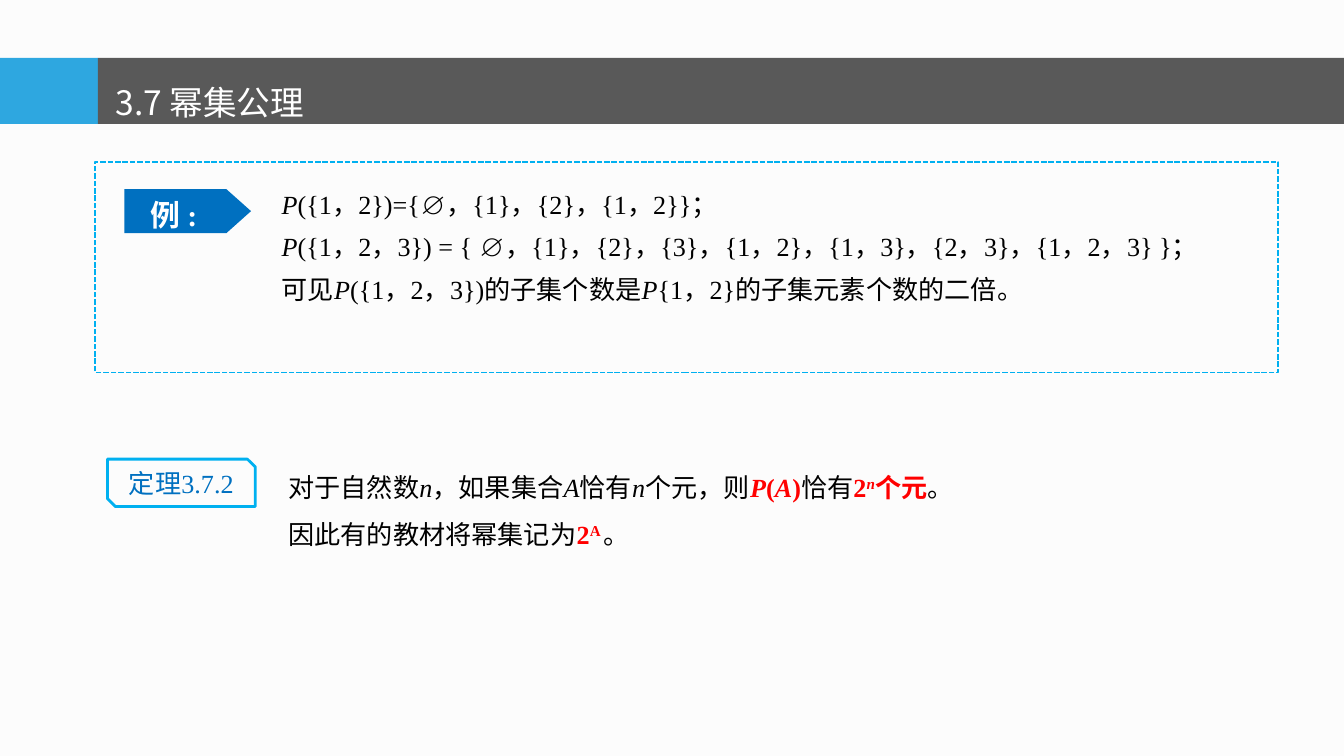
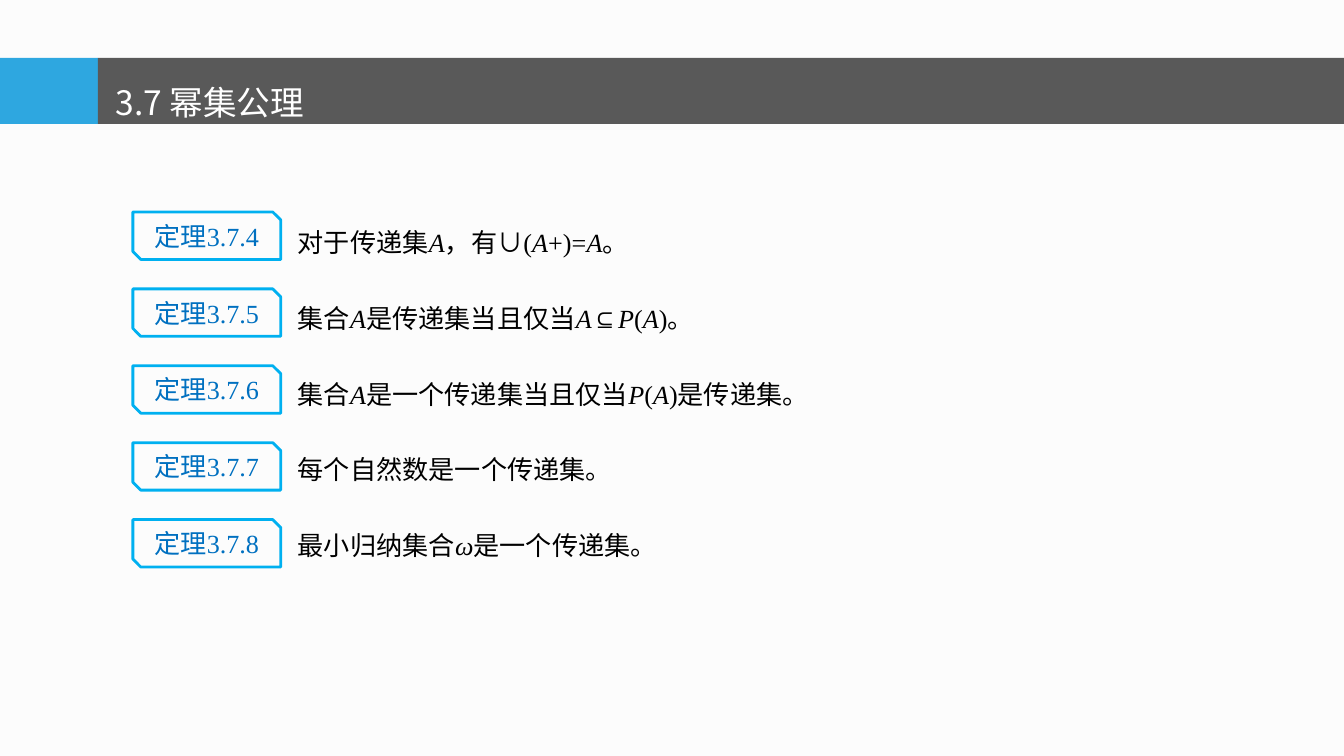
from pptx import Presentation
from pptx.dml.color import RGBColor
from pptx.enum.dml import MSO_LINE
from pptx.enum.lang import MSO_LANGUAGE_ID
from pptx.enum.shapes import MSO_SHAPE
from pptx.enum.text import MSO_ANCHOR, MSO_AUTO_SIZE, PP_ALIGN
from pptx.oxml.ns import qn
from pptx.util import Pt
from lxml import etree

RECT, ARROW, SNIP = MSO_SHAPE.RECTANGLE, MSO_SHAPE.PENTAGON, MSO_SHAPE.SNIP_2_DIAG_RECTANGLE
LEFT, MID, JUST = PP_ALIGN.LEFT, PP_ALIGN.CENTER, PP_ALIGN.JUSTIFY
TOP, CENTER = MSO_ANCHOR.TOP, MSO_ANCHOR.MIDDLE
DASH, NOFIT = MSO_LINE.SQUARE_DOT, MSO_AUTO_SIZE.NONE
CHINESE = MSO_LANGUAGE_ID.SIMPLIFIED_CHINESE

HEX = {"back": "FCFCFC", "sky": "2EA7E0", "gray": "595959", "white": "FFFFFF",
       "blue": "0070C0", "cyan": "00B0F0", "black": "000000", "red": "FF0000"}
SERIF, SANS = "Times New Roman", "Noto Sans CJK SC"

# Markup: * italic, ! bold red, ^ superscript
TITLE = "3.7 幂集公理"
SAMPLE = [
    "*P*({1，2})={∅，{1}，{2}，{1，2}}；",
    "*P*({1，2，3}) = { ∅，{1}，{2}，{3}，{1，2}，{1，3}，{2，3}，{1，2，3} }；",
    "可见*P*({1，2，3})的子集个数是*P*{1，2}的子集元素个数的二倍。",
]
POWER = [
    "对于自然数*n*，如果集合*A*恰有*n*个元，则!*P*(*A*)!恰有!2^*n*^个元!。",
    "因此有的教材将幂集记为!2^A ^!。",
]
RULES = [
    ("定理3.7.4", "对于传递集*A*，有∪(*A*+)=*A*。"),
    ("定理3.7.5", "集合*A*是传递集当且仅当*A*⊆*P*(*A*)。"),
    ("定理3.7.6", "集合*A*是一个传递集当且仅当*P*(*A*)是传递集。"),
    ("定理3.7.7", "每个自然数是一个传递集。"),
    ("定理3.7.8", "最小归纳集合*ω*是一个传递集。"),
]
WIDE, HIGH = 720, 405
BAND_Y, BAND_H, EDGE = 31, 35.4, 52.5
TAG_W, TAG_H, TAG_GAP = 79.2, 25.4, 41.2


def color(name):
    return RGBColor.from_string(HEX[name])


def split(line):
    on, part = set(), ""
    for sign in line:
        if sign in "*!^":
            if part:
                yield part, frozenset(on)
            on ^= {sign}
            part = ""
        else:
            part += sign
    if part:
        yield part, frozenset(on)


def write(shape, lines, size=14, font=SERIF, ink="black", bold=False, align=LEFT,
          anchor=TOP, lead=1.0, gap=0, hang=0):
    frame = shape.text_frame
    frame.word_wrap, frame.auto_size, frame.vertical_anchor = True, NOFIT, anchor
    for num, line in enumerate(lines):
        para = frame.add_paragraph() if num else frame.paragraphs[0]
        para.alignment, para.line_spacing, para.space_before = align, lead, Pt(gap)
        props = para._p.get_or_add_pPr()
        props.set("marL", str(Pt(hang)))
        props.set("indent", str(-Pt(hang)))
        etree.SubElement(props, qn("a:buNone"))
        for part, on in split(line):
            run = para.add_run()
            run.text = part
            face = run.font
            face.size, face.name, face.language_id = Pt(size), font, CHINESE
            face.bold, face.italic = bold or "!" in on, "*" in on
            face.color.rgb = color("red" if "!" in on else ink)
            if font == SANS:
                etree.SubElement(face._element, qn("a:ea")).set("typeface", font)
            if "^" in on:
                face._element.set("baseline", "30000")


def place(shape, *box):
    shape.left, shape.top, shape.width, shape.height = map(Pt, box)
    return shape


def draw(slide, kind, box, fill=None, line=None, width=1.0):
    shape = slide.shapes.add_shape(kind, *map(Pt, box))
    shape.shadow.inherit = False
    if fill:
        shape.fill.solid()
        shape.fill.fore_color.rgb = color(fill)
    else:
        shape.fill.background()
    if line:
        shape.line.color.rgb = color(line)
        shape.line.width = Pt(width)
    else:
        shape.line.fill.background()
    return shape


def tag(slide, text, left, top):
    shape = draw(slide, SNIP, (left, top, TAG_W, TAG_H), line="cyan", width=1.5)
    write(shape, [text], ink="blue", align=MID, anchor=CENTER, gap=2.8)


def start(deck):
    slide = deck.slides.add_slide(deck.slide_layouts[1])
    bands = [(0, EDGE, "sky"), (EDGE, WIDE - EDGE, "gray")]
    for num, (left, width, fill) in enumerate(bands):
        band = draw(slide, RECT, (left, BAND_Y, width, BAND_H), fill=fill)
        slide.shapes._spTree.insert(2 + num, band._element)
    title = place(slide.shapes.title, 54.7, 25.2, 242, 39.6)
    write(title, [TITLE], size=18, font=SANS, ink="white", lead=1.7, gap=3.6)
    return slide, slide.placeholders[1]


def sample(deck):
    slide, body = start(deck)
    place(body, 143.7, 97.2, 532, 70.6)
    write(body, SAMPLE, align=JUST, gap=6)
    body.text_frame.paragraphs[1].alignment = LEFT
    draw(slide, RECT, (51, 86.6, 633.8, 113), line="cyan").line.dash_style = DASH
    arrow = draw(slide, ARROW, (66.7, 101.3, 67.8, 23.6), fill="blue")
    arrow.adjustments[0] = 0.56
    write(arrow, ["例 :"], size=16, ink="white", bold=True, align=MID, anchor=CENTER, lead=1.2)
    arrow.text_frame.margin_right = Pt(15.2)
    tag(slide, "定理3.7.2", 57.6, 246)
    note = slide.shapes.add_textbox(*map(Pt, (147.4, 240.5, 476.6, 72)))
    write(note, POWER, lead=1.5)


def rules(deck):
    slide, body = start(deck)
    place(body, 152.3, 100.8, 476, 211)
    write(body, [text for _, text in RULES], lead=2.0, gap=7, hang=27)
    for num, (name, _) in enumerate(RULES):
        tag(slide, name, 71.2, 113.6 + num * TAG_GAP)


def main():
    deck = Presentation()
    deck.slide_width, deck.slide_height = Pt(WIDE), Pt(HIGH)
    back = deck.slide_master.background.fill
    back.solid()
    back.fore_color.rgb = color("back")
    sample(deck)
    rules(deck)
    deck.save("out.pptx")


if __name__ == "__main__":
    main()
